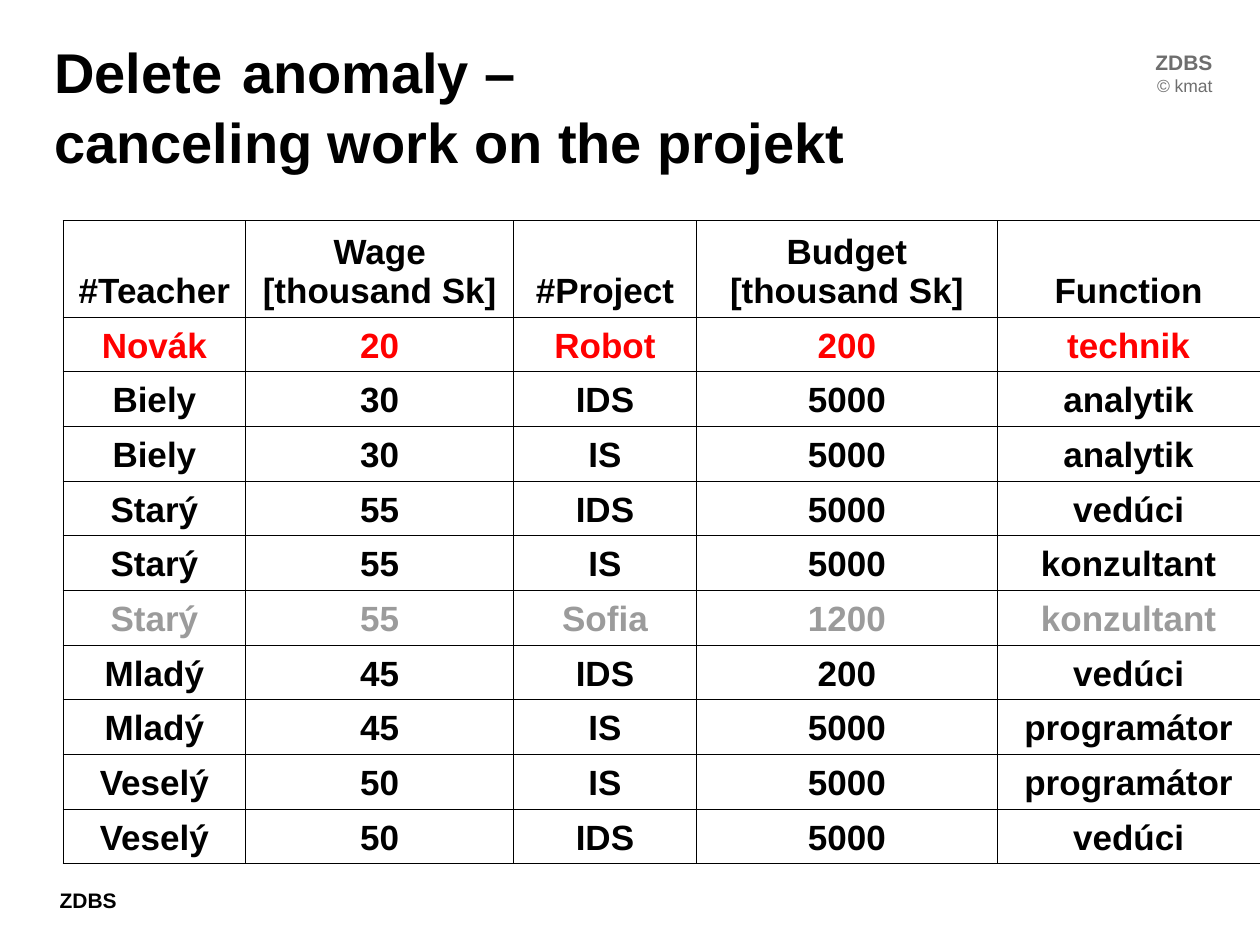
from lxml import etree
from pptx import Presentation
from pptx.dml.color import RGBColor
from pptx.enum.text import MSO_ANCHOR, MSO_AUTO_SIZE, PP_ALIGN
from pptx.oxml.ns import qn
from pptx.util import Pt

LEFT, MID, RIGHT = PP_ALIGN.LEFT, PP_ALIGN.CENTER, PP_ALIGN.RIGHT
LOW, MIDDLE = MSO_ANCHOR.BOTTOM, MSO_ANCHOR.MIDDLE
GROW, FIXED = MSO_AUTO_SIZE.SHAPE_TO_FIT_TEXT, MSO_AUTO_SIZE.NONE

THEME = {
    "font": "Arial",
    "black": "000000", "red": "FF0000", "gray": "9B9B9B", "mark": "6E6E6E",
    "title": 32, "gap": 40, "cell": 20, "label": 12, "small": 10,
    "line": 0.45,
}

# Content
TITLE = [("Delete", "title"), (" ", "gap"), ("anomaly –", "title"),
         ("\n", "title"), ("canceling work on the projekt", "title")]
FOOT = "ZDBS"
OWNER = "© kmat"
HEAD = ["#Teacher", "Wage\n[thousand Sk]", "#Project",
        "Budget\n[thousand Sk]", "Function"]
ROWS = [
    ("Novák", 20, "Robot", 200, "technik"),
    ("Biely", 30, "IDS", 5000, "analytik"),
    ("Biely", 30, "IS", 5000, "analytik"),
    ("Starý", 55, "IDS", 5000, "vedúci"),
    ("Starý", 55, "IS", 5000, "konzultant"),
    ("Starý", 55, "Sofia", 1200, "konzultant"),
    ("Mladý", 45, "IDS", 200, "vedúci"),
    ("Mladý", 45, "IS", 5000, "programátor"),
    ("Veselý", 50, "IS", 5000, "programátor"),
    ("Veselý", 50, "IDS", 5000, "vedúci"),
]
TINT = {1: "red", 6: "gray"}  # table row: colour
COLS = [104.5, 153, 104.5, 172, 150]
HEAD_H, ROW_H = 55.25, 31.25


def write(para, text, size="cell", color="black", bold=True, align=LEFT):
    """Add text to a paragraph; a newline alone makes a line break."""
    para.alignment = align
    if text == "\n":
        para.add_line_break()
        return
    run = para.add_run()
    run.text = text
    font = run.font
    font.name, font.size, font.bold = THEME["font"], Pt(THEME[size]), bold
    font.color.rgb = RGBColor.from_string(THEME[color])


def box(slide, left, top, width, height, wrap=False, side=7.2):
    frame = slide.shapes.add_textbox(
        Pt(left), Pt(top), Pt(width), Pt(height)).text_frame
    frame.word_wrap = wrap
    frame.auto_size = FIXED if wrap else GROW
    frame.margin_left = frame.margin_right = Pt(side)
    return frame


def border(cell):
    props = cell._tc.get_or_add_tcPr()
    for i, tag in enumerate(("a:lnL", "a:lnR", "a:lnT", "a:lnB")):
        line = etree.Element(qn(tag), w=str(Pt(THEME["line"])))
        fill = etree.SubElement(line, qn("a:solidFill"))
        etree.SubElement(fill, qn("a:srgbClr"), val=THEME["black"])
        props.insert(i, line)


def main():
    deck = Presentation()
    deck.slide_width, deck.slide_height = Pt(720), Pt(540)
    slide = deck.slides.add_slide(deck.slide_layouts[6])

    # Footer and corner mark
    write(box(slide, 27, 503.5, 47, 36).paragraphs[0], FOOT, "label")
    mark = box(slide, 653, 25, 47, 34)
    write(mark.paragraphs[0], FOOT, "label", "mark", align=RIGHT)
    write(mark.add_paragraph(), OWNER, "small", "mark", False, RIGHT)

    # Title
    title = box(slide, 31, 15, 614, 83, wrap=True, side=0)
    title.vertical_anchor = MIDDLE
    for text, size in TITLE:
        write(title.paragraphs[0], text, size)

    # Table
    grid = [HEAD, *ROWS]
    tall = [HEAD_H] + [ROW_H] * len(ROWS)
    table = slide.shapes.add_table(
        len(grid), len(COLS), Pt(36), Pt(126),
        Pt(sum(COLS)), Pt(sum(tall))).table
    table.first_row = table.horz_banding = False
    for col, width in zip(table.columns, COLS):
        col.width = Pt(width)
    for r, values in enumerate(grid):
        table.rows[r].height = Pt(tall[r])
        for c, value in enumerate(values):
            cell = table.cell(r, c)
            cell.vertical_anchor = LOW
            cell.fill.background()
            border(cell)
            frame = cell.text_frame
            for i, line in enumerate(str(value).split("\n")):
                para = frame.add_paragraph() if i else frame.paragraphs[0]
                write(para, line, color=TINT.get(r, "black"), align=MID)

    deck.save("out.pptx")


if __name__ == "__main__":
    main()
